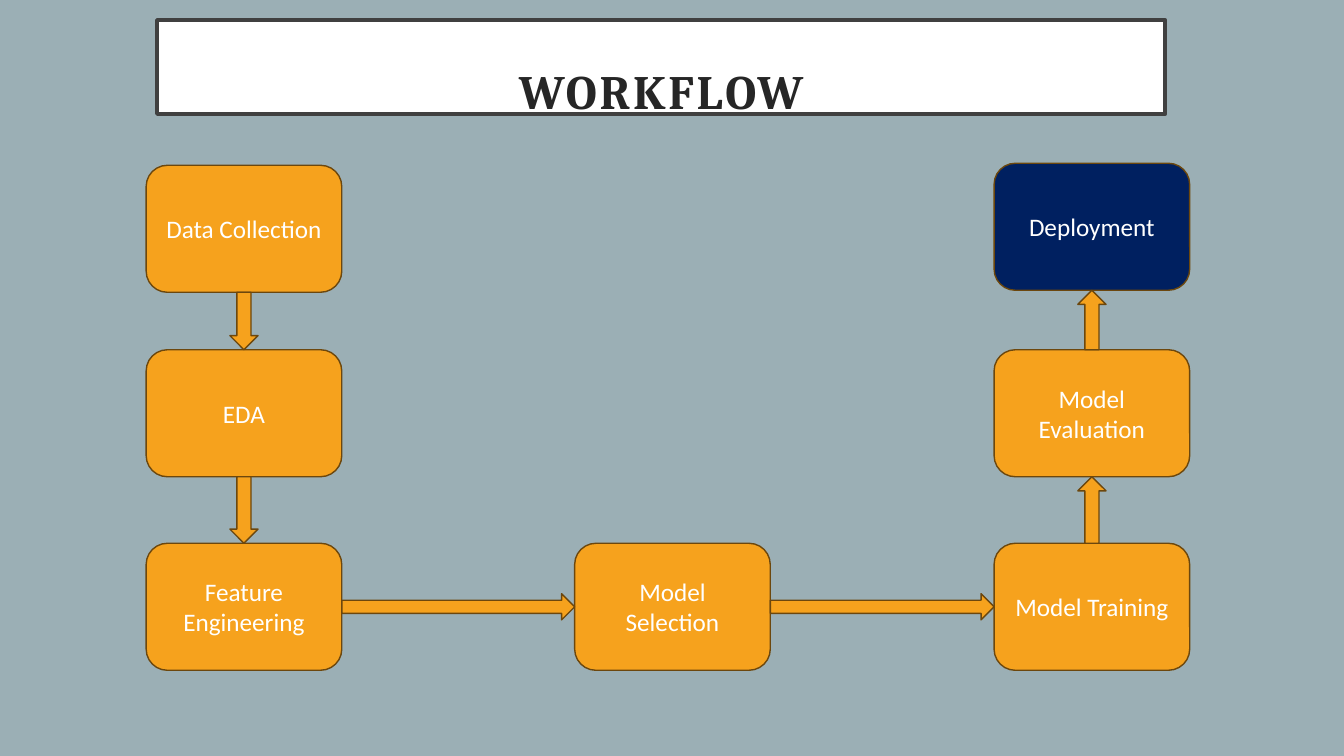
"""Build the machine learning workflow slide."""
import pptx
import pptx.dml.color
import pptx.enum.shapes
import pptx.enum.text
import pptx.util

SHAPES = pptx.enum.shapes.MSO_SHAPE
ANCHORS = pptx.enum.text.MSO_ANCHOR
SLIDE_WIDTH, SLIDE_HEIGHT = 13.33, 7.5
COLUMNS = {"left": 1.45, "middle": 5.7, "right": 9.86}
ROWS = {"deployment": 1.62, "top": 1.64, "centre": 3.47, "bottom": 5.39}
STAGE_WIDTH, STAGE_HEIGHT = 1.94, 1.26
VERTICAL_ARROW, HORIZONTAL_ARROW = 0.28, 0.26


def colour(value):
    return pptx.dml.color.RGBColor.from_string(value)


class WorkflowSlide:
    orange, navy, outline = "F6A21D", "002060", "6C470D"
    white, ink, frame, backdrop = "FFFFFF", "262626", "404040", "9BAFB5"

    def __init__(self, presentation):
        self.slide = presentation.slides.add_slide(presentation.slide_layouts[6])
        background = self.slide.background.fill
        background.solid()
        background.fore_color.rgb = colour(self.backdrop)

    def shape(self, kind, box, fill, line, line_width=1):
        shape = self.slide.shapes.add_shape(kind, *map(pptx.util.Inches, box))
        shape.shadow.inherit = False
        shape.fill.solid()
        shape.fill.fore_color.rgb = colour(fill)
        shape.line.color.rgb = colour(line)
        shape.line.width = pptx.util.Pt(line_width)
        return shape

    def label(self, shape, text, font_name, size, text_colour, anchor):
        frame = shape.text_frame
        frame.text = text
        frame.word_wrap = True
        frame.vertical_anchor = anchor
        paragraph = frame.paragraphs[0]
        paragraph.alignment = pptx.enum.text.PP_ALIGN.CENTER
        run = paragraph.runs[0]
        run.font.name = font_name
        run.font.size = pptx.util.Pt(size)
        run.font.color.rgb = colour(text_colour)
        return paragraph, run

    def title(self, text, left, top, width, height):
        box = (left * SLIDE_WIDTH / 100, top * SLIDE_HEIGHT / 100,
               width * SLIDE_WIDTH / 100, height * SLIDE_HEIGHT / 100)
        shape = self.shape(SHAPES.RECTANGLE, box, self.white, self.frame, 3)
        paragraph, run = self.label(shape, text, "Cambria", 34.2, self.ink, ANCHORS.TOP)
        shape.text_frame.margin_top = pptx.util.Inches(0.48)
        shape.text_frame.margin_bottom = 0
        paragraph.line_spacing = 0.9
        run.font.bold = True
        run._r.get_or_add_rPr().set("spc", "200")

    def stage(self, text, column, row, fill):
        box = (COLUMNS[column], ROWS[row], STAGE_WIDTH, STAGE_HEIGHT)
        shape = self.shape(SHAPES.ROUNDED_RECTANGLE, box, fill, self.outline)
        self.label(shape, text, "Calibri", 18, self.white, ANCHORS.MIDDLE)

    def arrow(self, start, end):
        (start_column, start_row), (end_column, end_row) = start, end
        if start_column == end_column:
            upper, lower = sorted((ROWS[start_row], ROWS[end_row]))
            kind = SHAPES.DOWN_ARROW if ROWS[end_row] == lower else SHAPES.UP_ARROW
            left = COLUMNS[start_column] + (STAGE_WIDTH - VERTICAL_ARROW) / 2
            top = upper + STAGE_HEIGHT
            box = (left, top, VERTICAL_ARROW, lower - top)
        else:
            kind = SHAPES.RIGHT_ARROW
            left = COLUMNS[start_column] + STAGE_WIDTH
            top = ROWS[start_row] + (STAGE_HEIGHT - HORIZONTAL_ARROW) / 2
            box = (left, top, COLUMNS[end_column] - left, HORIZONTAL_ARROW)
        self.shape(kind, box, self.orange, self.outline)


def main():
    presentation = pptx.Presentation()
    presentation.slide_width = pptx.util.Inches(SLIDE_WIDTH)
    presentation.slide_height = pptx.util.Inches(SLIDE_HEIGHT)
    workflow = WorkflowSlide(presentation)
    workflow.title("WORKFLOW", 11.7, 2.67, 75, 12.4)

    stages = [
        ("Data Collection", "left", "top"),
        ("EDA", "left", "centre"),
        ("Feature Engineering", "left", "bottom"),
        ("Model Selection", "middle", "bottom"),
        ("Model Training", "right", "bottom"),
        ("Model Evaluation", "right", "centre"),
        ("Deployment", "right", "deployment"),
    ]
    for text, column, row in stages:
        fill = workflow.navy if row == "deployment" else workflow.orange
        workflow.stage(text, column, row, fill)
    for start, end in zip(stages, stages[1:]):
        workflow.arrow(start[1:], end[1:])
    presentation.save("out.pptx")


if __name__ == "__main__":
    main()
